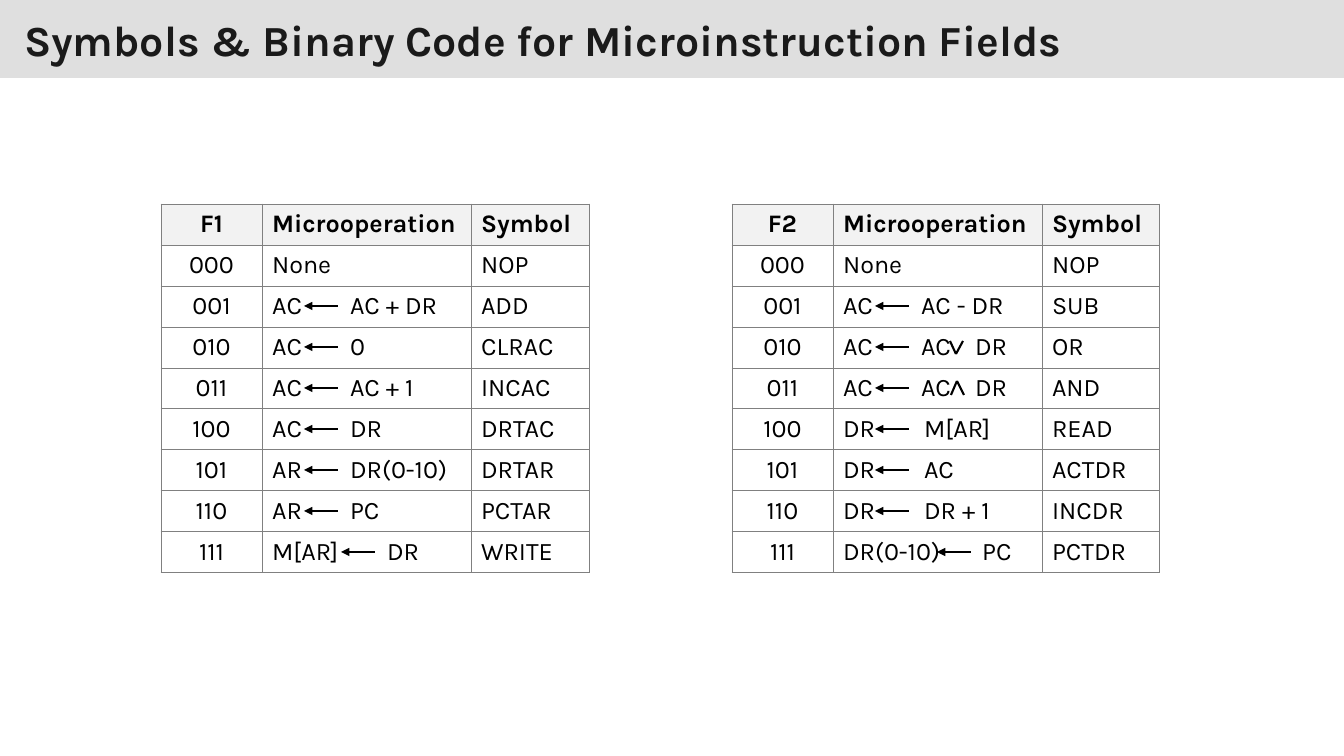
import pptx
import pptx.dml.color
import pptx.enum.dml
import pptx.enum.shapes
import pptx.enum.text
import pptx.oxml
import pptx.oxml.ns
import pptx.util

PX = 914400 / 100.8
FONT = "Karla"
COLORS = {"band": "C0C0C0", "title": "1A1A1A", "text": "000000",
          "header": "F2F2F2", "border": "808080"}
NS = pptx.oxml.ns.nsdecls("a")


def px(length):
    return pptx.util.Emu(round(length * PX))


def draw_line(start, end, arrow=False):
    line = slide.shapes.add_connector(
        pptx.enum.shapes.MSO_CONNECTOR.STRAIGHT, *map(px, start + end))
    line.line.color.rgb = pptx.dml.color.RGBColor.from_string(COLORS["text"])
    line.line.width = pptx.util.Pt(1.5)
    if arrow:
        line.line._get_or_add_ln().append(
            pptx.oxml.parse_xml(f'<a:tailEnd {NS} type="triangle"/>'))
    line._element.spPr.append(pptx.oxml.parse_xml(f"<a:effectLst {NS}/>"))


deck = pptx.Presentation()
deck.slide_width, deck.slide_height = px(1344), px(756)
slide = deck.slides.add_slide(deck.slide_layouts[5])

# Title band, half transparent
title = slide.shapes.title
title.left, title.top, title.width, title.height = px(0), px(0), px(1344), px(78)
title.fill.solid()
title.fill.fore_color.rgb = pptx.dml.color.RGBColor.from_string(COLORS["band"])
title.fill._xPr.find(".//" + pptx.oxml.ns.qn("a:srgbClr")).append(
    pptx.oxml.parse_xml(f'<a:alpha {NS} val="50000"/>'))
title_frame = title.text_frame
title_frame.text = "Symbols & Binary Code for Microinstruction Fields"
title_frame.word_wrap = True
title_frame.auto_size = pptx.enum.text.MSO_AUTO_SIZE.NONE
title_frame.vertical_anchor = pptx.enum.text.MSO_ANCHOR.MIDDLE
title_frame.margin_left = title_frame.margin_right = px(24)
title_frame.margin_top = title_frame.margin_bottom = px(12)
heading = title_frame.paragraphs[0]
heading.alignment = pptx.enum.text.PP_ALIGN.LEFT
heading.font.name, heading.font.size, heading.font.bold = FONT, pptx.util.Pt(30.6), True
heading.font.color.rgb = pptx.dml.color.RGBColor.from_string(COLORS["title"])

# Field tables: (left edge, field, [(target, operand, symbol)])
FIELDS = [
    (161, "F1", [("", "None", "NOP"), ("AC", "AC + DR", "ADD"), ("AC", "0", "CLRAC"),
                 ("AC", "AC + 1", "INCAC"), ("AC", "DR", "DRTAC"),
                 ("AR", "DR(0-10)", "DRTAR"), ("AR", "PC", "PCTAR"),
                 ("M[AR]", "DR", "WRITE")]),
    (732, "F2", [("", "None", "NOP"), ("AC", "AC - DR", "SUB"), ("AC", "AC\tDR", "OR"),
                 ("AC", "AC\tDR", "AND"), ("DR", "M[AR]", "READ"), ("DR", "AC", "ACTDR"),
                 ("DR", "DR + 1", "INCDR"), ("DR(0-10)", "PC", "PCTDR")]),
]
TOP, ROW_HEIGHT, COLUMN_WIDTHS = 204, 41, (101, 209, 118)
# By target: arrow start from the table edge, operand tab from the text edge
ARROW_AND_TAB = {"AC": (177, 78), "AR": (177, 78), "DR": (177, 81),
                 "M[AR]": (214, 115), "DR(0-10)": (239, 139)}
ARROW_LENGTH, SECOND_OPERAND_TAB = 34, 132

for left, field, operations in FIELDS:
    table = slide.shapes.add_table(
        len(operations) + 1, 3, px(left), px(TOP), px(sum(COLUMN_WIDTHS)),
        px(ROW_HEIGHT * (len(operations) + 1))).table
    table.first_row = table.horz_banding = False
    for column, width in zip(table.columns, COLUMN_WIDTHS):
        column.width = px(width)
    rows = [(field, "Microoperation", "Symbol")]
    for code, (target, operand, symbol) in enumerate(operations):
        microoperation = f"{target}\t{operand}" if target else operand
        rows.append((f"{code:03b}", microoperation, symbol))

    for r, row in enumerate(rows):
        table.rows[r].height = px(ROW_HEIGHT)
        target = operations[r - 1][0] if r else ""
        for c, text in enumerate(row):
            cell = table.cell(r, c)
            cell.text = text
            cell.vertical_anchor = pptx.enum.text.MSO_ANCHOR.MIDDLE
            for side in "LRTB":
                cell._tc.get_or_add_tcPr().append(pptx.oxml.parse_xml(
                    f'<a:ln{side} {NS} w="9525"><a:solidFill><a:srgbClr '
                    f'val="{COLORS["border"]}"/></a:solidFill></a:ln{side}>'))
            if r == 0:
                cell.fill.solid()
                cell.fill.fore_color.rgb = pptx.dml.color.RGBColor.from_string(COLORS["header"])
            else:
                cell.fill.background()
            entry = cell.text_frame.paragraphs[0]
            if "\t" in text:
                stops = (ARROW_AND_TAB[target][1], SECOND_OPERAND_TAB)[:text.count("\t")]
                tabs = "".join(f'<a:tab pos="{px(stop)}" algn="l"/>' for stop in stops)
                entry._p.get_or_add_pPr().append(
                    pptx.oxml.parse_xml(f"<a:tabLst {NS}>{tabs}</a:tabLst>"))
            if c == 0:
                entry.alignment = pptx.enum.text.PP_ALIGN.CENTER
            entry.font.name, entry.font.size = FONT, pptx.util.Pt(18)
            entry.font.bold = r == 0
            entry.font.color.rgb = pptx.dml.color.RGBColor.from_string(COLORS["text"])

    # Transfer arrows, centred in their rows
    for r, (target, operand, symbol) in enumerate(operations, 1):
        if target:
            start = left + ARROW_AND_TAB[target][0]
            y = TOP + ROW_HEIGHT * r + ROW_HEIGHT // 2
            draw_line((start, y), (start - ARROW_LENGTH, y), arrow=True)

# Logical OR and AND signs
for sign in ([(950, 341), (956, 354), (963, 341)],
             [(951, 395), (957, 381), (964, 395)]):
    for start, end in zip(sign, sign[1:]):
        draw_line(start, end)

deck.save("out.pptx")
